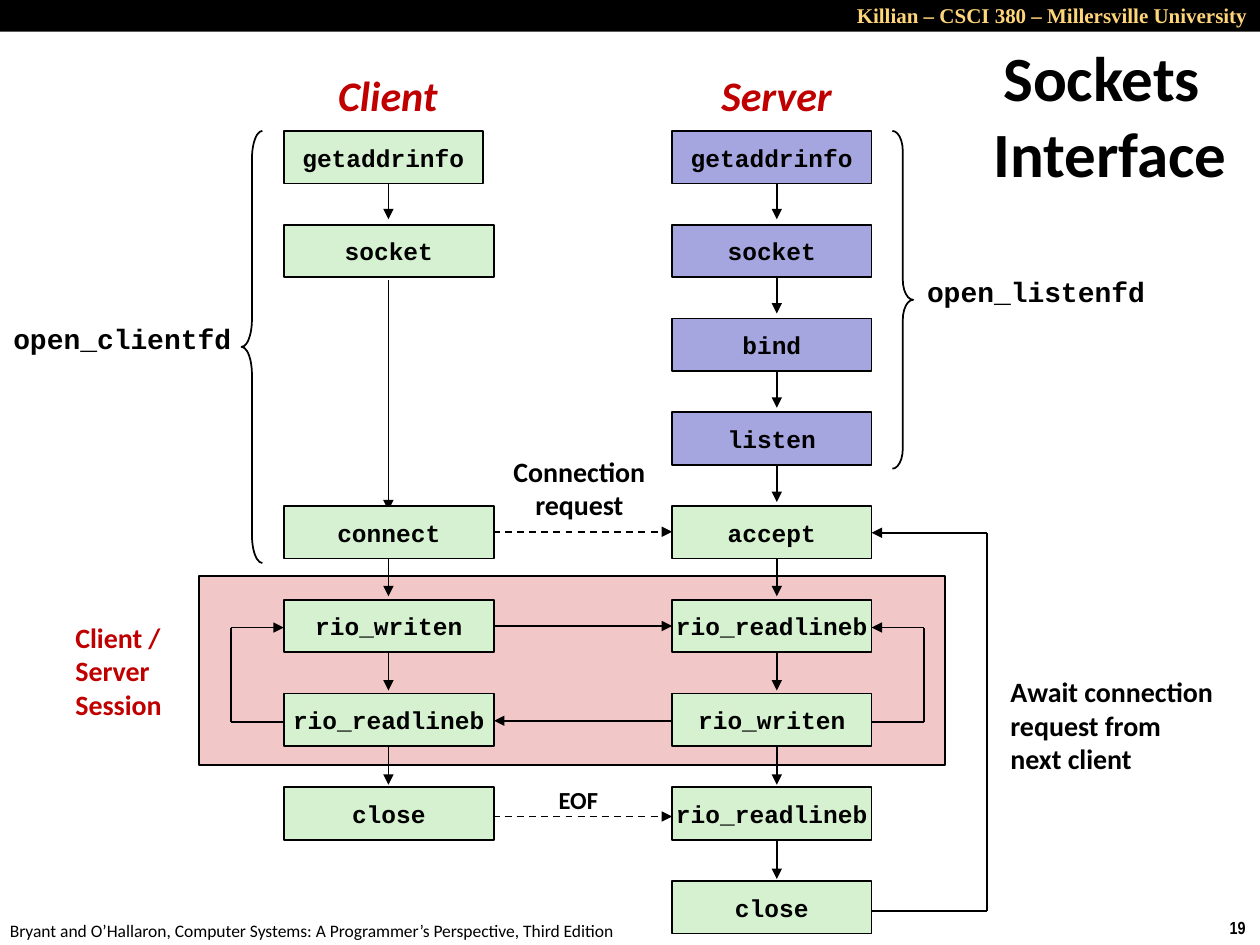
from pptx import Presentation
from pptx import util as u
from pptx.dml.color import RGBColor
from pptx.enum import dml, shapes, text
from pptx.oxml.ns import qn
from lxml import etree

BLACK = RGBColor(0x00, 0x00, 0x00)
GOLD = RGBColor(0xFF, 0xD5, 0x79)
RED = RGBColor(0xC0, 0x00, 0x00)
PINK = RGBColor(0xF1, 0xC7, 0xC7)
MINT = RGBColor(0xD5, 0xF1, 0xD2)
GREEN = RGBColor(0xD5, 0xF1, 0xCF)
VIOLET = RGBColor(0xA5, 0xA6, 0xDF)

CENTER, RIGHT = text.PP_ALIGN.CENTER, text.PP_ALIGN.RIGHT
TOP, MIDDLE = text.MSO_ANCHOR.TOP, text.MSO_ANCHOR.MIDDLE
RECT = shapes.MSO_SHAPE.RECTANGLE

CLIENT_X, CLIENT_W, CLIENT_MID = 5.72, 4.24, 7.83
SERVER_X, SERVER_W, SERVER_MID = 13.55, 4.02, 15.66
SERVER_RIGHT = SERVER_X + SERVER_W
ROW_TOP, ROW_PITCH, ROW_H = 2.64, 1.89, 1.06
ARROW_TOP, ARROW_PITCH, ARROW_LEN = 3.57, 1.9, 0.85


def write(tf, content, size=14, font="Calibri", color=BLACK, bold=True,
          italic=False, align=None, anchor=MIDDLE, wrap=False):
    """Fill a text frame, one paragraph per line, in the given format."""
    tf.word_wrap = wrap
    tf.vertical_anchor = anchor
    for i, line in enumerate(content.split("\n")):
        p = tf.paragraphs[0] if i == 0 else tf.add_paragraph()
        p.alignment = align
        r = p.add_run()
        r.text = line
        r.font.size, r.font.name = u.Pt(size), font
        r.font.bold, r.font.italic = bold, italic
        r.font.color.rgb = color


class Diagram:
    """Holds the line style and the slide being drawn."""

    def __init__(self, slide, line_width=1):
        """Keep the slide and the outline width in points."""
        self.slide = slide
        self.line_width = u.Pt(line_width)

    def title(self, content, x, y, w, h):
        """Place the title with a hanging indent."""
        sp = self.slide.shapes.title
        sp.left, sp.top, sp.width, sp.height = map(u.Cm, (x, y, w, h))
        write(sp.text_frame, content, size=36, align=CENTER, wrap=True)
        sp.text_frame.auto_size = text.MSO_AUTO_SIZE.NONE
        pPr = sp.text_frame.paragraphs[0]._p.get_or_add_pPr()
        pPr.set("marL", str(u.Cm(0.33)))
        pPr.set("indent", str(u.Cm(-0.33)))

    def shape(self, kind, x, y, w, h, fill=None, outline=True):
        """Add a preset shape."""
        sp = self.slide.shapes.add_shape(kind, *map(u.Cm, (x, y, w, h)))
        sp.shadow.inherit = False
        if fill is None:
            sp.fill.background()
        else:
            sp.fill.solid()
            sp.fill.fore_color.rgb = fill
        if outline:
            sp.line.color.rgb = BLACK
            sp.line.width = self.line_width
        else:
            sp.line.fill.background()
        return sp

    def call(self, name, row, x, w, fill):
        """Add the box of one function call in a row of the flow."""
        sp = self.shape(RECT, x, ROW_TOP + row * ROW_PITCH, w, ROW_H, fill)
        write(sp.text_frame, name, font="Courier New", align=CENTER)

    def brace(self, kind, x, h, curve):
        """Add a brace that starts level with the first row."""
        sp = self.shape(kind, x, ROW_TOP, 0.42, h)
        sp.adjustments[0] = curve

    def label(self, content, x, y, w, h, **fmt):
        """Add a text box."""
        sp = self.slide.shapes.add_textbox(*map(u.Cm, (x, y, w, h)))
        write(sp.text_frame, content, **fmt)
        sp.text_frame.auto_size = text.MSO_AUTO_SIZE.SHAPE_TO_FIT_TEXT

    def route(self, *points, dashed=False):
        """Join points by straight lines and put an arrowhead on the last."""
        for start, end in zip(points, points[1:]):
            cx = self.slide.shapes.add_connector(
                shapes.MSO_CONNECTOR.STRAIGHT, *map(u.Cm, start + end))
            cx.line.color.rgb = BLACK
            cx.line.width = self.line_width
            if dashed:
                cx.line.dash_style = dml.MSO_LINE.DASH
            etree.SubElement(cx._element.spPr, qn("a:effectLst"))
        etree.SubElement(cx.line._get_or_add_ln(), qn("a:tailEnd"), type="triangle")


def main():
    """Build the slide and save it."""
    prs = Presentation()
    prs.slide_width, prs.slide_height = u.Cm(25.4), u.Cm(19.05)
    d = Diagram(prs.slides.add_slide(prs.slide_layouts[5]))

    d.shape(RECT, 0, 0, 25.4, 0.64, BLACK, outline=False)
    d.label("Killian – CSCI 380 – Millersville University", 11.43, -0.08, 13.97, 0.76,
            size=12, font="Times New Roman", color=GOLD, align=RIGHT,
            anchor=TOP, wrap=True)
    d.label("19", 24.54, 18.36, 0.86, 0.69, size=10, font="Arial Narrow", anchor=TOP)
    d.label("Bryant and O’Hallaron, Computer Systems: A Programmer’s Perspective, "
            "Third Edition", -0.05, 18.42, 12.9, 0.69, size=10, bold=False, anchor=TOP)
    d.title("Sockets Interface", 19.25, 0.64, 5.92, 3.33)

    d.shape(RECT, 4.01, 11.61, 15.04, 3.81, PINK)

    for mid, rows in ((CLIENT_MID, (0, 4, 5, 6)), (SERVER_MID, range(8))):
        for row in rows:
            y = ARROW_TOP + row * ARROW_PITCH
            d.route((mid, y), (mid, y + ARROW_LEN))
    d.route((CLIENT_MID, 5.64), (CLIENT_MID, 10.29))

    client_right = CLIENT_X + CLIENT_W
    d.route((client_right, 12.62), (SERVER_X, 12.62))
    d.route((SERVER_X, 14.53), (client_right, 14.53))
    for y in (10.72, 16.46):
        d.route((8.46, y), (SERVER_X, y), dashed=True)

    loops = ((CLIENT_X, 4.65, 14.55, 12.65),
             (SERVER_RIGHT, 18.62, 14.55, 12.65),
             (SERVER_RIGHT, 19.9, 18.36, 10.74))
    for edge, out, bottom, top in loops:
        d.route((edge, bottom), (out, bottom), (out, top), (edge, top))

    client_calls = (("getaddrinfo", 0, SERVER_W, MINT), ("socket", 1, CLIENT_W, MINT),
                    ("connect", 4, CLIENT_W, MINT), ("rio_writen", 5, CLIENT_W, GREEN),
                    ("rio_readlineb", 6, CLIENT_W, GREEN), ("close", 7, CLIENT_W, GREEN))
    for name, row, w, fill in client_calls:
        d.call(name, row, CLIENT_X, w, fill)
    server_calls = ("getaddrinfo", "socket", "bind", "listen", "accept",
                    "rio_readlineb", "rio_writen", "rio_readlineb", "close")
    for row, name in enumerate(server_calls):
        d.call(name, row, SERVER_X, SERVER_W, VIOLET if row < 4 else GREEN)

    d.brace(shapes.MSO_SHAPE.LEFT_BRACE, 4.87, 8.71, 1.33)
    d.brace(shapes.MSO_SHAPE.RIGHT_BRACE, 17.99, 6.81, 0.96)

    for name, x, w in (("Client", 6.55, 2.54), ("Server", 14.27, 2.77)):
        d.label(name, x, 1.27, w, 1.27, size=24, color=RED, italic=True, align=CENTER)
    for name, x, y in (("open_clientfd", 0, 6.35), ("open_listenfd", 18.42, 5.41)):
        d.label(name, x, y, 4.93, 0.94, size=16, font="Courier New", align=CENTER)
    d.label("Client / Server\nSession", 1.27, 12.37, 2.34, 2.29,
            size=16, color=RED, wrap=True)
    d.label("Connection\nrequest", 10.08, 9.02, 3.2, 1.63, size=16, align=CENTER)
    d.label("EOF", 11, 15.7, 1.32, 0.86, align=CENTER)
    d.label("Await connection\nrequest from\nnext client", 20.12, 13.46, 4.65, 2.31,
            size=16)

    prs.save("out.pptx")


main()
